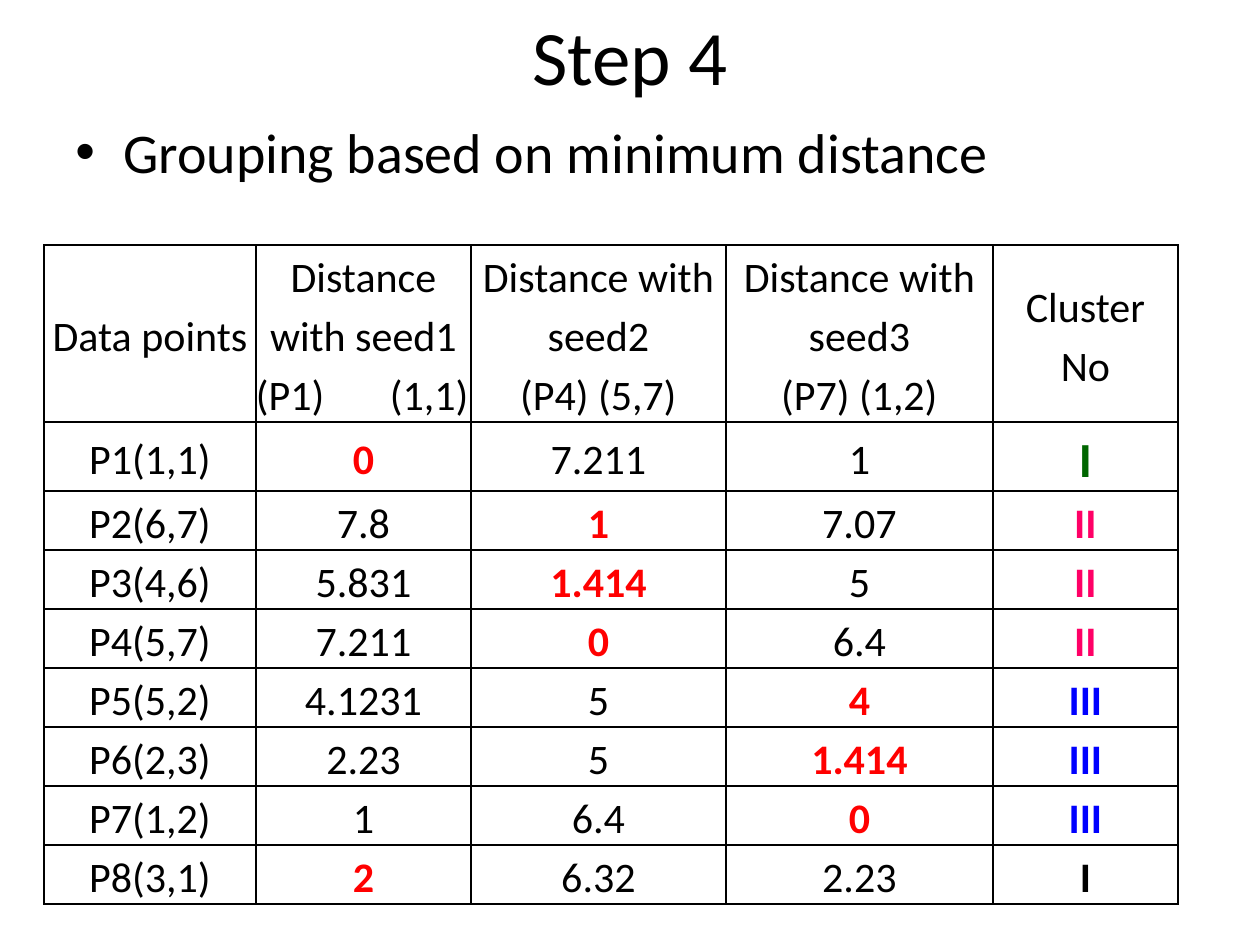
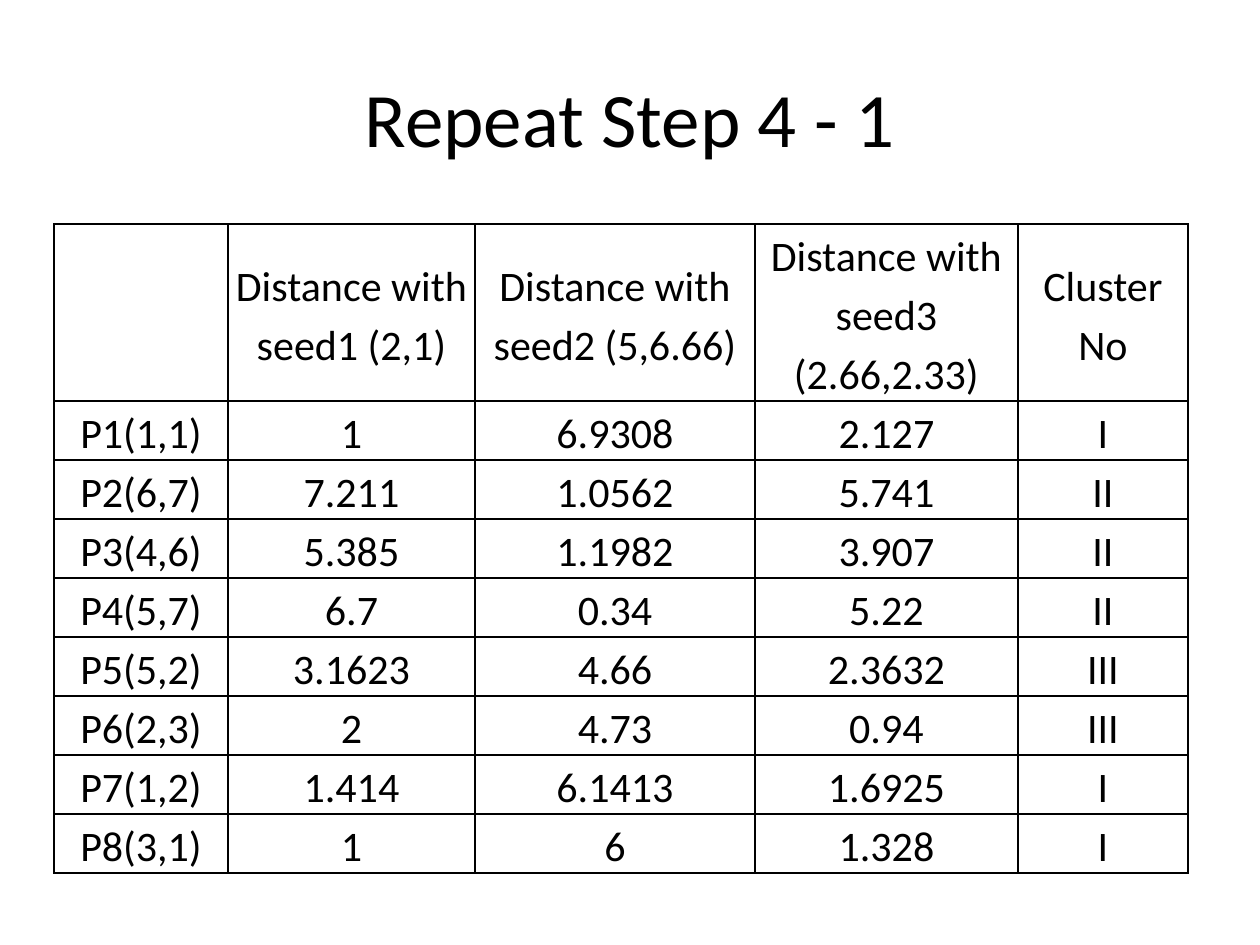
from pptx import Presentation
from pptx.dml.color import RGBColor
from pptx.enum.text import MSO_ANCHOR, PP_ALIGN
from pptx.oxml.ns import qn
from pptx.util import Pt
from lxml import etree

CENTER, LEFT, MIDDLE = PP_ALIGN.CENTER, PP_ALIGN.LEFT, MSO_ANCHOR.MIDDLE
PX = 914400 / 126
SLIDE_W, SLIDE_H = 1260, 945
MARGIN, CONTENT_W = 63, 1134
TITLE_H = 158
HEADER_H, ROW_H, TALL_ROW_H = 177, 59, 69
TAB_STOP = 134
BULLET_INDENT = 48

BLACK, RED, GREEN, PINK, BLUE = "000000", "FF0000", "006600", "FF0066", "0000FF"
BASE = {"name": "Calibri", "size": 24, "color": BLACK, "bold": False}
TITLE_STYLE = {**BASE, "size": 44}
BULLET_STYLE = {**BASE, "size": 32}
NEAREST_STYLE = {**BASE, "color": RED, "bold": True}
CLUSTER_COLORS = {"I": BLACK, "II": PINK, "III": BLUE}
FIRST_CLUSTER_STYLE = {**BASE, "size": 28, "color": GREEN, "bold": True}

SLIDES = [
    {
        "title": "Step 4", "title_top": -24,
        "bullet": "Grouping based on minimum distance", "bullet_box": (63, 111, 1134, 93),
        "table_at": (44, 245), "columns": [212, 215, 255, 267, 185], "highlight": True,
        "header": ["Data points", "Distance with seed1\n(P1)\t(1,1)",
                   "Distance with seed2\n(P4) (5,7)", "Distance with seed3\n(P7) (1,2)",
                   "Cluster\nNo"],
        "rows": [
            ("P1(1,1)", "0", "7.211", "1", "I"),
            ("P2(6,7)", "7.8", "1", "7.07", "II"),
            ("P3(4,6)", "5.831", "1.414", "5", "II"),
            ("P4(5,7)", "7.211", "0", "6.4", "II"),
            ("P5(5,2)", "4.1231", "5", "4", "III"),
            ("P6(2,3)", "2.23", "5", "1.414", "III"),
            ("P7(1,2)", "1", "6.4", "0", "III"),
            ("P8(3,1)", "2", "6.32", "2.23", "I"),
        ],
    },
    {
        "title": "Repeat Step 4 - 1", "title_top": 38,
        "table_at": (54, 224), "columns": [174, 247, 280, 263, 170], "highlight": False,
        "header": ["", "Distance with seed1 (2,1)", "Distance with seed2 (5,6.66)",
                   "Distance with seed3 (2.66,2.33)", "Cluster\nNo"],
        "rows": [
            ("P1(1,1)", "1", "6.9308", "2.127", "I"),
            ("P2(6,7)", "7.211", "1.0562", "5.741", "II"),
            ("P3(4,6)", "5.385", "1.1982", "3.907", "II"),
            ("P4(5,7)", "6.7", "0.34", "5.22", "II"),
            ("P5(5,2)", "3.1623", "4.66", "2.3632", "III"),
            ("P6(2,3)", "2", "4.73", "0.94", "III"),
            ("P7(1,2)", "1.414", "6.1413", "1.6925", "I"),
            ("P8(3,1)", "1", "6", "1.328", "I"),
        ],
    },
]


def px(n):
    return round(n * PX)


def rgb(value):
    return RGBColor.from_string(value)


def add_run(p, text, style):
    r = p.add_run()
    r.text = text
    for key, value in style.items():
        if key == "color":
            r.font.color.rgb = rgb(value)
        else:
            setattr(r.font, key, Pt(value) if key == "size" else value)


def add_child(parent, tag, **attrs):
    return etree.SubElement(parent, qn(tag), {k: str(v) for k, v in attrs.items()})


def add_title(slide, text, top):
    sp = slide.shapes.title
    box = {"left": MARGIN, "top": top, "width": CONTENT_W, "height": TITLE_H}
    for key, value in box.items():
        setattr(sp, key, px(value))
    sp.text_frame.vertical_anchor = MIDDLE
    p = sp.text_frame.paragraphs[0]
    p.alignment = CENTER
    add_run(p, text, TITLE_STYLE)


def add_bullet(slide, text, box):
    tf = slide.shapes.add_textbox(*map(px, box)).text_frame
    tf.word_wrap = True
    p = tf.paragraphs[0]
    pPr = p._p.get_or_add_pPr()
    pPr.set("marL", str(px(BULLET_INDENT)))
    pPr.set("indent", str(-px(BULLET_INDENT)))
    add_child(pPr, "a:buFont", typeface="Arial")
    add_child(pPr, "a:buChar", char="•")
    add_run(p, text, BULLET_STYLE)


def format_cell(cell):
    """Black borders, no fill, no insets, text in the middle."""
    tcPr = cell._tc.get_or_add_tcPr()
    for side in "LRTB":
        ln = add_child(tcPr, f"a:ln{side}", w=Pt(1))
        add_child(add_child(ln, "a:solidFill"), "a:srgbClr", val=BLACK)
    cell.fill.background()
    cell.vertical_anchor = MIDDLE
    for side in ("left", "right", "top", "bottom"):
        setattr(cell, f"margin_{side}", 0)


def fill_cell(cell, text, style):
    format_cell(cell)
    tf = cell.text_frame
    for i, line in enumerate(text.split("\n")):
        p = tf.add_paragraph() if i else tf.paragraphs[0]
        p.alignment = CENTER
        p.line_spacing = 1.15
        if "\t" in line:
            p.alignment = LEFT
            tabs = add_child(p._p.get_or_add_pPr(), "a:tabLst")
            add_child(tabs, "a:tab", pos=px(TAB_STOP), algn="l")
        if line:
            add_run(p, line, style)


def row_styles(row, is_first):
    """Mark the smallest distance and colour the cluster number."""
    point, *distances, cluster = row
    nearest = min(distances, key=float)
    styles = [NEAREST_STYLE if d == nearest else BASE for d in distances]
    cluster_style = {**BASE, "color": CLUSTER_COLORS[cluster], "bold": True}
    return [BASE, *styles, FIRST_CLUSTER_STYLE if is_first else cluster_style]


def add_distance_table(slide, data):
    columns, rows = data["columns"], [data["header"], *data["rows"]]
    heights = [HEADER_H] + [ROW_H] * len(data["rows"])
    if data["highlight"]:
        heights[1] = TALL_ROW_H
    table = slide.shapes.add_table(
        len(rows), len(columns), *map(px, (*data["table_at"], sum(columns), sum(heights)))).table
    table.first_row = table.horz_banding = False
    for column, width in zip(table.columns, columns):
        column.width = px(width)
    for i, (row, height) in enumerate(zip(rows, heights)):
        table.rows[i].height = px(height)
        marked = data["highlight"] and i > 0
        styles = row_styles(row, i == 1) if marked else [BASE] * len(columns)
        for j, (text, style) in enumerate(zip(row, styles)):
            fill_cell(table.cell(i, j), text, style)


def main():
    prs = Presentation()
    prs.slide_width, prs.slide_height = px(SLIDE_W), px(SLIDE_H)
    title_only = prs.slide_layouts[5]
    for data in SLIDES:
        slide = prs.slides.add_slide(title_only)
        add_title(slide, data["title"], data["title_top"])
        if "bullet" in data:
            add_bullet(slide, data["bullet"], data["bullet_box"])
        add_distance_table(slide, data)
    prs.save("out.pptx")


if __name__ == "__main__":
    main()
